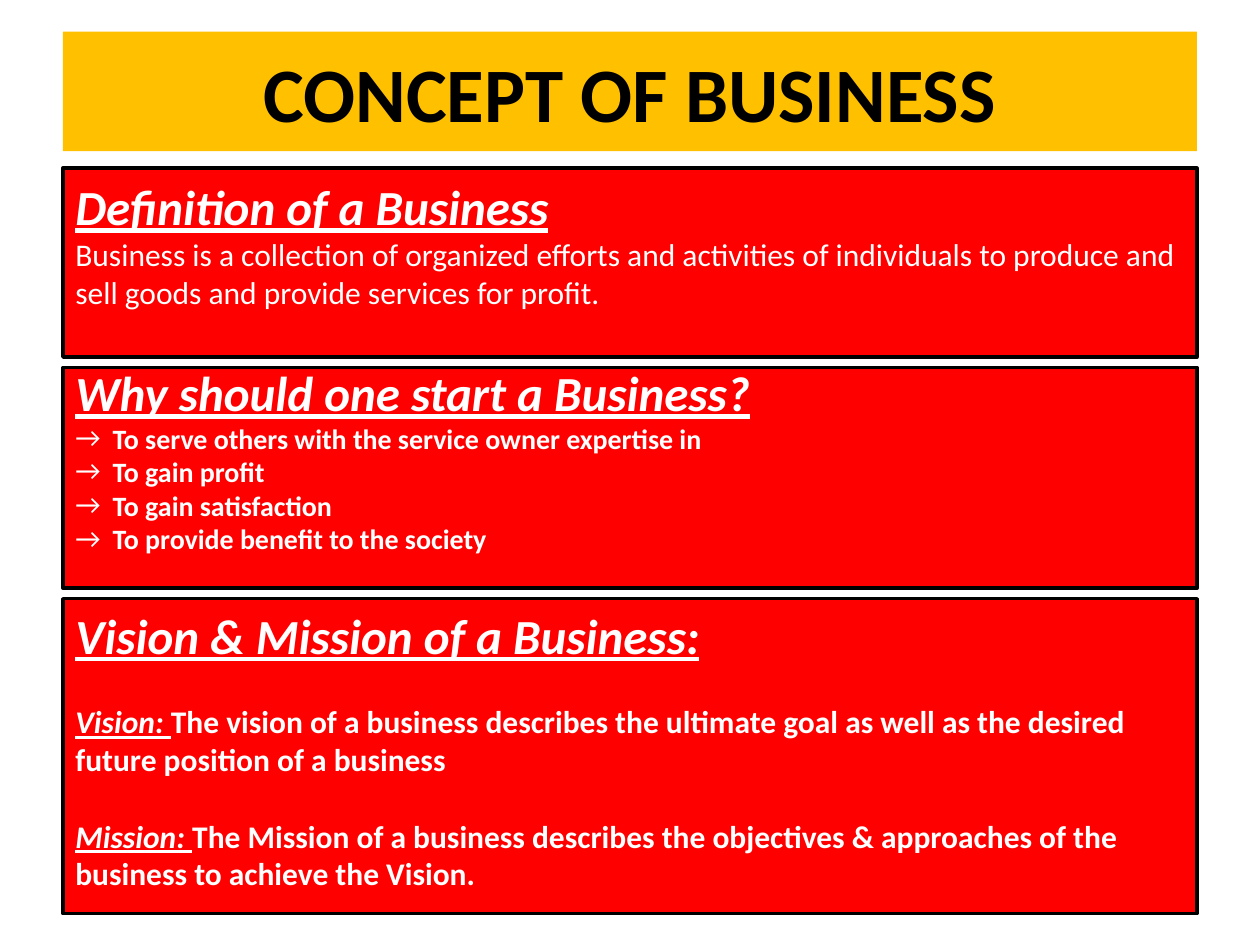
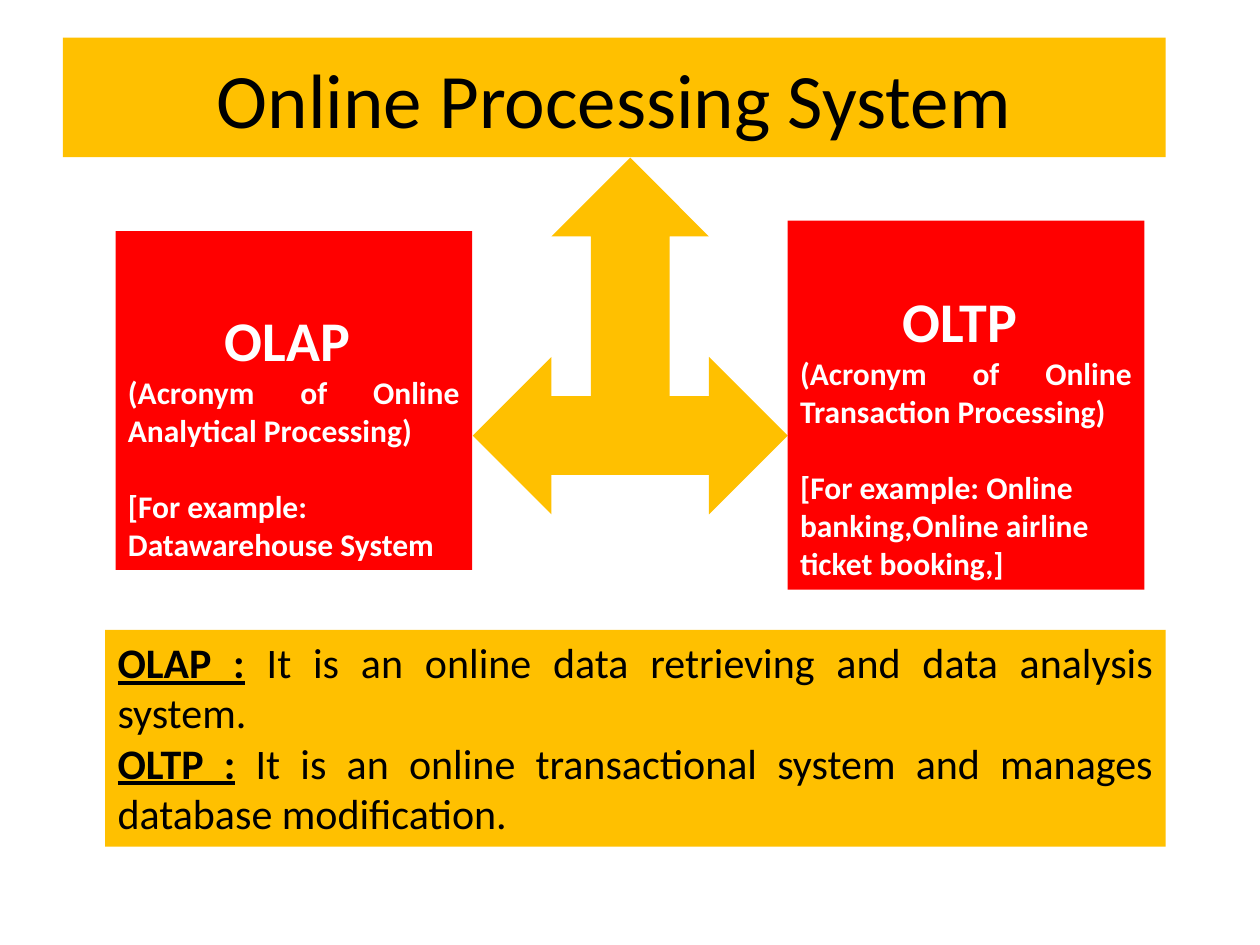
from lxml.etree import SubElement
from pptx import Presentation
from pptx.dml.color import RGBColor
from pptx.enum.shapes import MSO_SHAPE
from pptx.enum.text import MSO_ANCHOR, PP_ALIGN
from pptx.oxml.ns import qn
from pptx.util import Cm, Pt

FONT = "Calibri"
AMBER, RED, WHITE, BLACK = "FFC000", "FF0000", "FFFFFF", "000000"
LEFT, CENTER, JUSTIFY = PP_ALIGN.LEFT, PP_ALIGN.CENTER, PP_ALIGN.JUSTIFY
TOP, MIDDLE = MSO_ANCHOR.TOP, MSO_ANCHOR.MIDDLE
MARGIN = 1.27
TITLE_HEIGHT = 2.41
PANEL_WIDTH = 22.86
CARD_WIDTH = 7.19
BLANK_LINE = 22


def color(value):
    return RGBColor.from_string(value)


def add_block(slide, box, fill, line=None, shape=MSO_SHAPE.RECTANGLE):
    sp = slide.shapes.add_shape(shape, *(Cm(v) for v in box))
    sp.shadow.inherit = False
    sp.fill.solid()
    sp.fill.fore_color.rgb = color(fill)
    if line:
        sp.line.color.rgb = color(line)
        sp.line.width = Pt(2)
    else:
        sp.line.fill.background()
    return sp


def setup_text(sp, anchor=TOP, top=0.13, bottom=0.13):
    tf = sp.text_frame
    tf.word_wrap = True
    tf.vertical_anchor = anchor
    tf.margin_top, tf.margin_bottom = Cm(top), Cm(bottom)
    return tf


def add_paragraph(tf, text, size, ink=WHITE, bold=False, label="",
                  label_italic=False, heading=False, align=LEFT, before=0):
    p = tf.paragraphs[0]
    if p.runs:
        p = tf.add_paragraph()
    p.alignment = align
    p.space_before = Pt(before)
    parts = [(text, bold or heading, heading, heading)]
    if label:
        parts.insert(0, (label, True, label_italic, True))
    for words, is_bold, is_italic, underlined in parts:
        r = p.add_run()
        r.text = words
        r.font.name = FONT
        r.font.size = Pt(size)
        r.font.color.rgb = color(ink)
        r.font.bold, r.font.italic, r.font.underline = is_bold, is_italic, underlined
    return p


def add_arrow_bullet(p):
    pPr = p._p.get_or_add_pPr()
    pPr.set("marL", str(Cm(0.75)))
    pPr.set("indent", str(-Cm(0.75)))
    SubElement(pPr, qn("a:buFont"), typeface=FONT)
    SubElement(pPr, qn("a:buChar"), char="→")


def add_title(slide, text, top, width, bold=False):
    sp = add_block(slide, (MARGIN, top, width, TITLE_HEIGHT), AMBER)
    add_paragraph(setup_text(sp, MIDDLE), text, 44, BLACK, bold, align=CENTER)


def add_panel(slide, top, height, heading, anchor=MIDDLE, bottom=0.9):
    sp = add_block(slide, (MARGIN, top, PANEL_WIDTH, height), RED, BLACK)
    tf = setup_text(sp, anchor, bottom=bottom)
    add_paragraph(tf, heading, 28, heading=True)
    return tf


def add_card(slide, left, top, height, inset, name, meaning, example):
    sp = add_block(slide, (left, top, CARD_WIDTH, height), RED)
    tf = setup_text(sp, top=inset)
    add_paragraph(tf, name, 32, bold=True, align=CENTER)
    add_paragraph(tf, meaning, 18, bold=True, align=JUSTIFY)
    add_paragraph(tf, example, 18, bold=True, before=BLANK_LINE)


def build_concept(slide):
    add_title(slide, "CONCEPT OF BUSINESS", 0.64, PANEL_WIDTH, bold=True)

    tf = add_panel(slide, 3.39, 3.81, "Definition of a Business")
    add_paragraph(tf, "Business is a collection of organized efforts and activities of "
                  "individuals to produce and sell goods and provide services for profit.", 18)

    tf = add_panel(slide, 7.41, 4.45, "Why should one start a Business?")
    for reason in ("To serve others with the service owner expertise in",
                   "To gain profit",
                   "To gain satisfaction",
                   "To provide benefit to the society"):
        add_arrow_bullet(add_paragraph(tf, reason, 16, bold=True))

    tf = add_panel(slide, 12.07, 6.35, "Vision & Mission of a Business:", TOP, 0.13)
    for label, text in (
            ("Vision: ", "The vision of a business describes the ultimate goal as well "
                         "as the desired future position of a business"),
            ("Mission: ", "The Mission of a business describes the objectives & approaches "
                          "of the business to achieve the Vision.")):
        add_paragraph(tf, text, 18, bold=True, label=label, label_italic=True,
                      before=BLANK_LINE)


def build_processing(slide):
    add_title(slide, "Online Processing System", 0.76, 22.23)
    add_block(slide, (9.53, 3.18, 6.35, 7.19), AMBER, shape=MSO_SHAPE.LEFT_RIGHT_UP_ARROW)
    add_card(slide, 15.88, 4.45, 7.44, 1.33, "OLTP ",
             "(Acronym of Online Transaction Processing)",
             "[For example: Online banking,Online airline ticket booking,]")
    add_card(slide, 2.33, 4.66, 6.83, 1.5, "OLAP ",
             "(Acronym of Online Analytical Processing)",
             "[For example: Datawarehouse System")

    tf = setup_text(add_block(slide, (2.12, 12.7, 21.38, 4.37), AMBER))
    for label, text in (
            ("OLAP :", " It is an online data retrieving and data analysis system."),
            ("OLTP :", " It is an online transactional system and manages "
                       "database modification.")):
        add_paragraph(tf, text, 24, BLACK, label=label, align=JUSTIFY)


def main():
    prs = Presentation()
    prs.slide_width, prs.slide_height = Cm(25.4), Cm(19.05)
    for build in (build_concept, build_processing):
        build(prs.slides.add_slide(prs.slide_layouts[6]))
    prs.save("out.pptx")


main()
